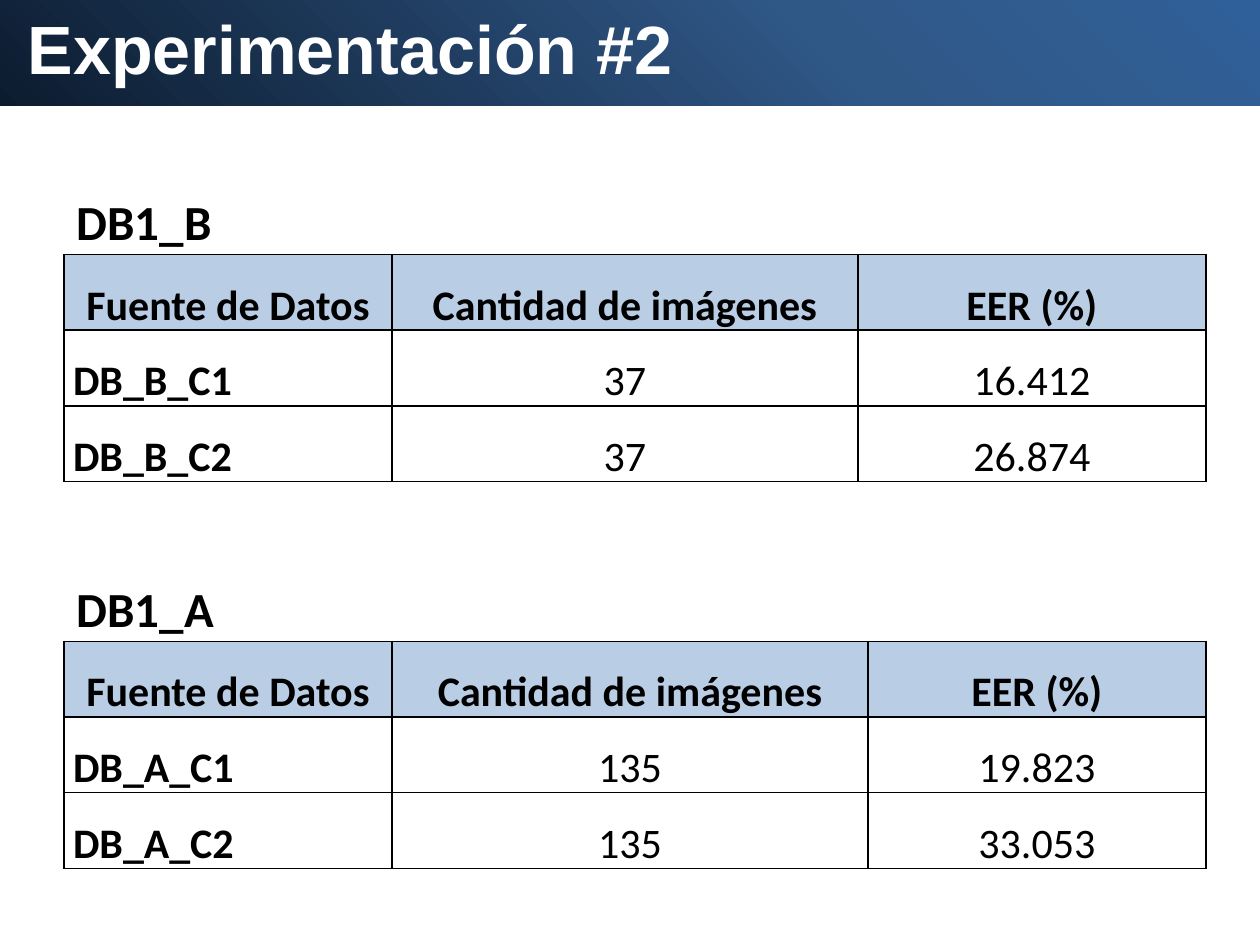
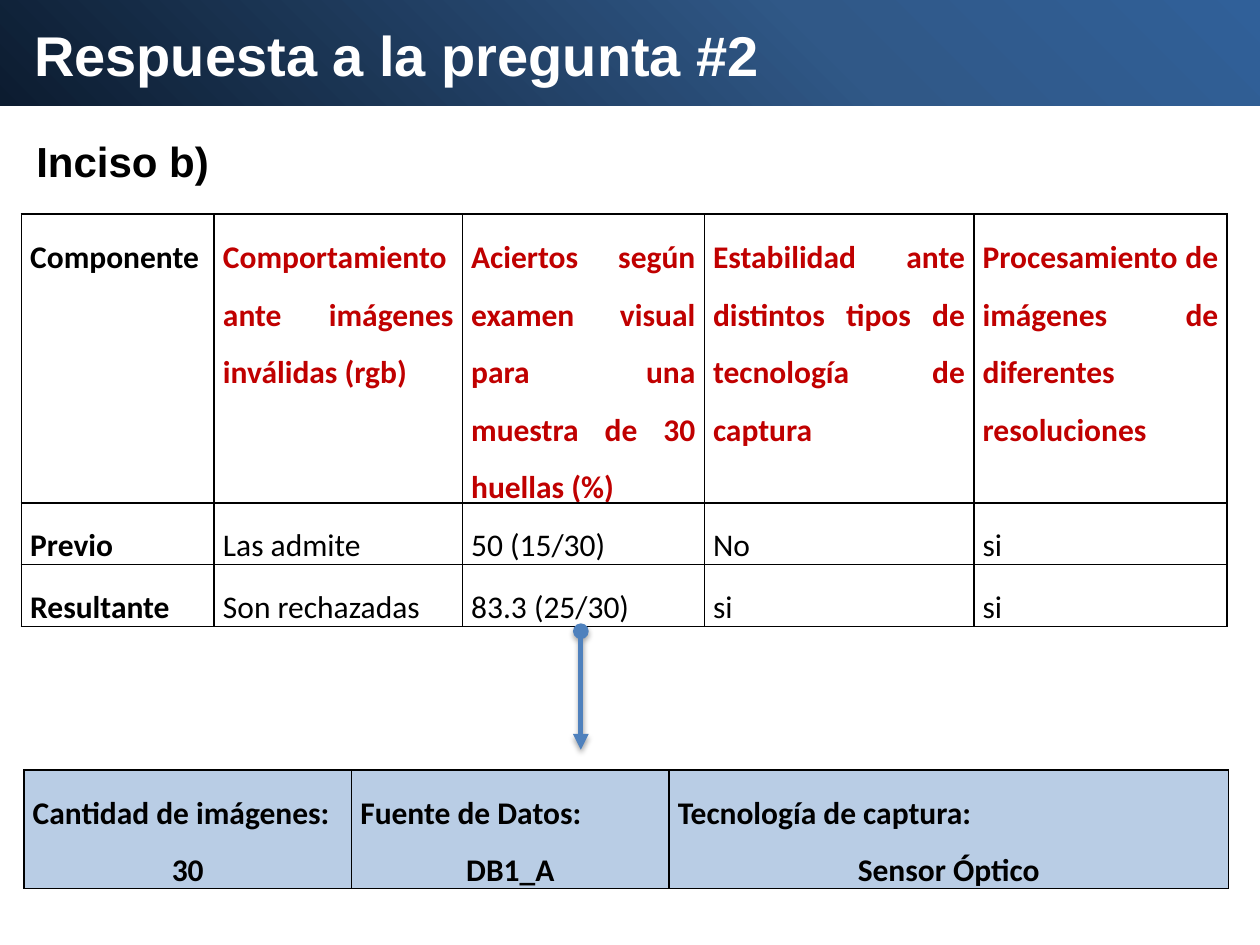
from dataclasses import dataclass

from lxml import etree
from pptx import Presentation
from pptx.dml.color import RGBColor
from pptx.enum.shapes import MSO_CONNECTOR, MSO_SHAPE
from pptx.enum.text import MSO_ANCHOR, MSO_AUTO_SIZE, PP_ALIGN
from pptx.oxml import parse_xml
from pptx.oxml.ns import nsdecls, qn
from pptx.util import Inches, Pt


@dataclass(frozen=True)
class Theme:
    heading_font: str = "Arial"
    table_font: str = "Calibri"
    white: str = "FFFFFF"
    black: str = "000000"
    red: str = "C00000"
    header_fill: str = "B9CDE5"
    arrow: str = "4F81BD"
    band_stops: tuple = ((0, "0C1C30"), (65, "305887"), (100, "306099"))
    label_size: int = 28
    large_size: int = 24
    small_size: int = 18


THEME = Theme()
CENTER, JUSTIFY = PP_ALIGN.CENTER, PP_ALIGN.JUSTIFY

# Slide 1: one label and one table per database
RESULT_HEADER = ["Fuente de Datos", "Cantidad de imágenes", "EER (%)"]
RESULTS = [
    {"label": "DB1_B", "top": 1.47, "widths": [2.6, 3.7, 2.76],
     "rows": [["DB_B_C1", "37", "16.412"], ["DB_B_C2", "37", "26.874"]]},
    {"label": "DB1_A", "top": 4.54, "widths": [2.6, 3.78, 2.68],
     "rows": [["DB_A_C1", "135", "19.823"], ["DB_A_C2", "135", "33.053"]]},
]
RESULT_LEFT, LABEL_TO_TABLE, RESULT_ROW = 0.51, 0.55, 0.6

# Slide 2: comparison of components and the conditions of the test
COMPARISON = [
    ["Componente", "Comportamiento ante imágenes inválidas (rgb)",
     "Aciertos según examen visual para una muestra de 30 huellas (%)",
     "Estabilidad ante distintos tipos de tecnología de captura",
     "Procesamiento de imágenes de diferentes resoluciones"],
    ["Previo", "Las admite", "50 (15/30)", "No", "si"],
    ["Resultante", "Son rechazadas", "83.3 (25/30)", "si", "si"],
]
COMPARISON_WIDTHS = [1.53, 1.97, 1.92, 2.14, 2.01]
COMPARISON_HEIGHTS = [2.29, 0.49, 0.49]
CONDITIONS = [["Cantidad de imágenes:\n30", "Fuente de Datos:\nDB1_A",
               "Tecnología de captura:\nSensor Óptico"]]
CONDITION_WIDTHS = [2.6, 2.52, 4.44]


def style_runs(para, font, size, color, bold=True):
    for span in para.runs:
        span.font.name = font
        span.font.size = Pt(size)
        span.font.color.rgb = RGBColor.from_string(color)
        span.font.bold = bold


def place_text(box, at, text, font, size, color, wrap=True):
    box.left, box.top, box.width, box.height = map(Inches, at)
    frame = box.text_frame
    frame.text = text
    frame.word_wrap = wrap
    frame.auto_size = MSO_AUTO_SIZE.SHAPE_TO_FIT_TEXT
    frame.vertical_anchor = MSO_ANCHOR.TOP
    frame.paragraphs[0].alignment = PP_ALIGN.LEFT
    style_runs(frame.paragraphs[0], font, size, color)


def add_label(page, at, *style):
    place_text(page.shapes.add_textbox(0, 0, 0, 0), at, *style)


def add_page(deck, title, at, size, wrap=True):
    """Add a slide with the gradient band behind its title."""
    page = deck.slides.add_slide(deck.slide_layouts[5])
    band = page.shapes.add_shape(MSO_SHAPE.RECTANGLE, 0, Inches(-0.08),
                                 deck.slide_width, Inches(0.92))
    band.shadow.inherit = False
    band.line.fill.background()
    stops = "".join(f'<a:gs pos="{position * 1000}"><a:srgbClr val="{color}"/></a:gs>'
                    for position, color in THEME.band_stops)
    band._element.spPr.find(qn("a:prstGeom")).addnext(parse_xml(
        f'<a:gradFill {nsdecls("a")} rotWithShape="1"><a:gsLst>{stops}</a:gsLst>'
        '<a:path path="circle"><a:fillToRect t="100000" r="100000"/></a:path>'
        '</a:gradFill>'))
    heading = page.shapes.title
    heading._element.addprevious(band._element)
    place_text(heading, at, title, THEME.heading_font, size, THEME.white, wrap)
    return page


def add_borders(cell):
    properties = cell._tc.get_or_add_tcPr()
    for side in ("lnL", "lnR", "lnT", "lnB"):
        properties.append(parse_xml(
            f'<a:{side} {nsdecls("a")} w="12700"><a:solidFill>'
            f'<a:srgbClr val="{THEME.black}"/></a:solidFill></a:{side}>'))


def add_grid(page, left, top, widths, heights, rows, size, style_cell, inset_top=0):
    """Draw a bordered table; style_cell(row, column) gives fill, colour, bold, alignments."""
    table = page.shapes.add_table(
        len(rows), len(widths), Inches(left), Inches(top),
        Inches(sum(widths)), Inches(sum(heights))).table
    table.first_row = table.horz_banding = False
    for column, width in zip(table.columns, widths):
        column.width = Inches(width)
    for row, height in zip(table.rows, heights):
        row.height = Inches(height)
    for row_number, texts in enumerate(rows):
        for column_number, text in enumerate(texts):
            cell = table.cell(row_number, column_number)
            fill, color, bold, alignments = style_cell(row_number, column_number)
            add_borders(cell)
            if fill:
                cell.fill.solid()
                cell.fill.fore_color.rgb = RGBColor.from_string(fill)
            else:
                cell.fill.background()
            cell.margin_left = cell.margin_right = Inches(0.07)
            cell.margin_top, cell.margin_bottom = Inches(inset_top), 0
            cell.text_frame.text = text
            for para, alignment in zip(cell.text_frame.paragraphs, alignments):
                para.alignment = alignment
                para.line_spacing = 1.5
                style_runs(para, THEME.table_font, size, color, bold)


def result_style(row, column):
    is_header = row == 0
    return (THEME.header_fill if is_header else None, THEME.black,
            is_header or column == 0,
            [CENTER if is_header or column else JUSTIFY])


def comparison_style(row, column):
    is_criterion = row == 0 and column > 0
    return (None, THEME.red if is_criterion else THEME.black,
            row == 0 or column == 0, [JUSTIFY])


def condition_style(row, column):
    return THEME.header_fill, THEME.black, True, [PP_ALIGN.LEFT, CENTER]


def add_arrow(page, x, top, bottom):
    arrow = page.shapes.add_connector(MSO_CONNECTOR.STRAIGHT, Inches(x), Inches(top),
                                      Inches(x), Inches(bottom))
    arrow.line.color.rgb = RGBColor.from_string(THEME.arrow)
    arrow.line.width = Pt(3)
    line = arrow.line._get_or_add_ln()
    etree.SubElement(line, qn("a:headEnd"), type="oval")
    etree.SubElement(line, qn("a:tailEnd"), type="triangle")
    arrow._element.spPr.append(parse_xml(
        f'<a:effectLst {nsdecls("a")}><a:outerShdw blurRad="39370" dist="22860" '
        f'dir="5400000" rotWithShape="0"><a:srgbClr val="{THEME.black}">'
        '<a:alpha val="35000"/></a:srgbClr></a:outerShdw></a:effectLst>'))


def build_results(deck):
    page = add_page(deck, "Experimentación #2", (0.12, 0, 7.24, 0.76), 39)
    for result in RESULTS:
        rows = [RESULT_HEADER] + result["rows"]
        add_grid(page, RESULT_LEFT, result["top"] + LABEL_TO_TABLE, result["widths"],
                 [RESULT_ROW] * len(rows), rows, THEME.large_size, result_style)
        add_label(page, (RESULT_LEFT, result["top"], 1.57, 0.57), result["label"],
                  THEME.table_font, THEME.label_size, THEME.black)


def build_answer(deck):
    page = add_page(deck, "Respuesta a la pregunta #2", (0.17, 0.11, 6, 0.64), 32, wrap=False)
    add_label(page, (0.19, 1.03, 1.74, 0.5), "Inciso b)",
              THEME.heading_font, THEME.large_size, THEME.black)
    add_grid(page, 0.17, 1.7, COMPARISON_WIDTHS, COMPARISON_HEIGHTS, COMPARISON,
             THEME.small_size, comparison_style, inset_top=0.04)
    add_grid(page, 0.19, 6.11, CONDITION_WIDTHS, [0.94], CONDITIONS,
             THEME.small_size, condition_style, inset_top=0.04)
    add_arrow(page, 4.61, 5.01, 5.95)


def main():
    deck = Presentation()
    deck.slide_width, deck.slide_height = Inches(10), Inches(7.5)
    build_results(deck)
    build_answer(deck)
    deck.save("out.pptx")


if __name__ == "__main__":
    main()
